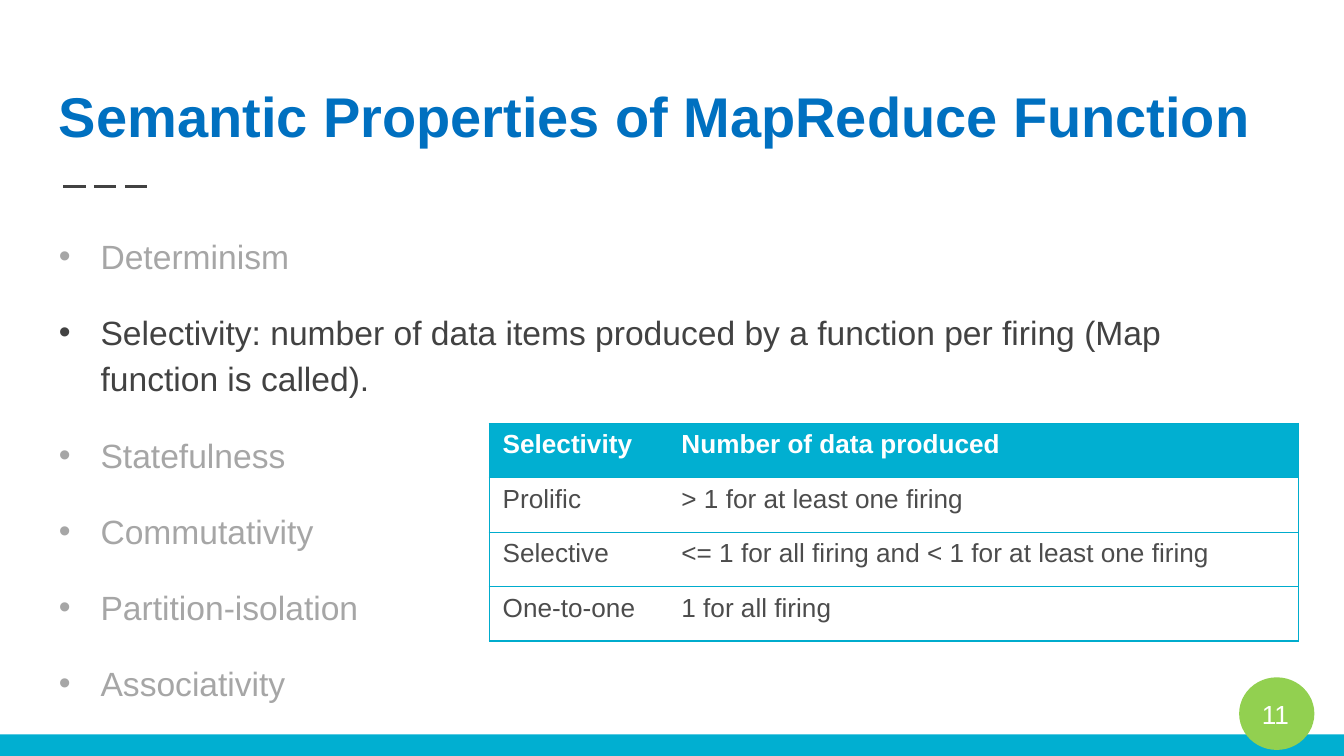
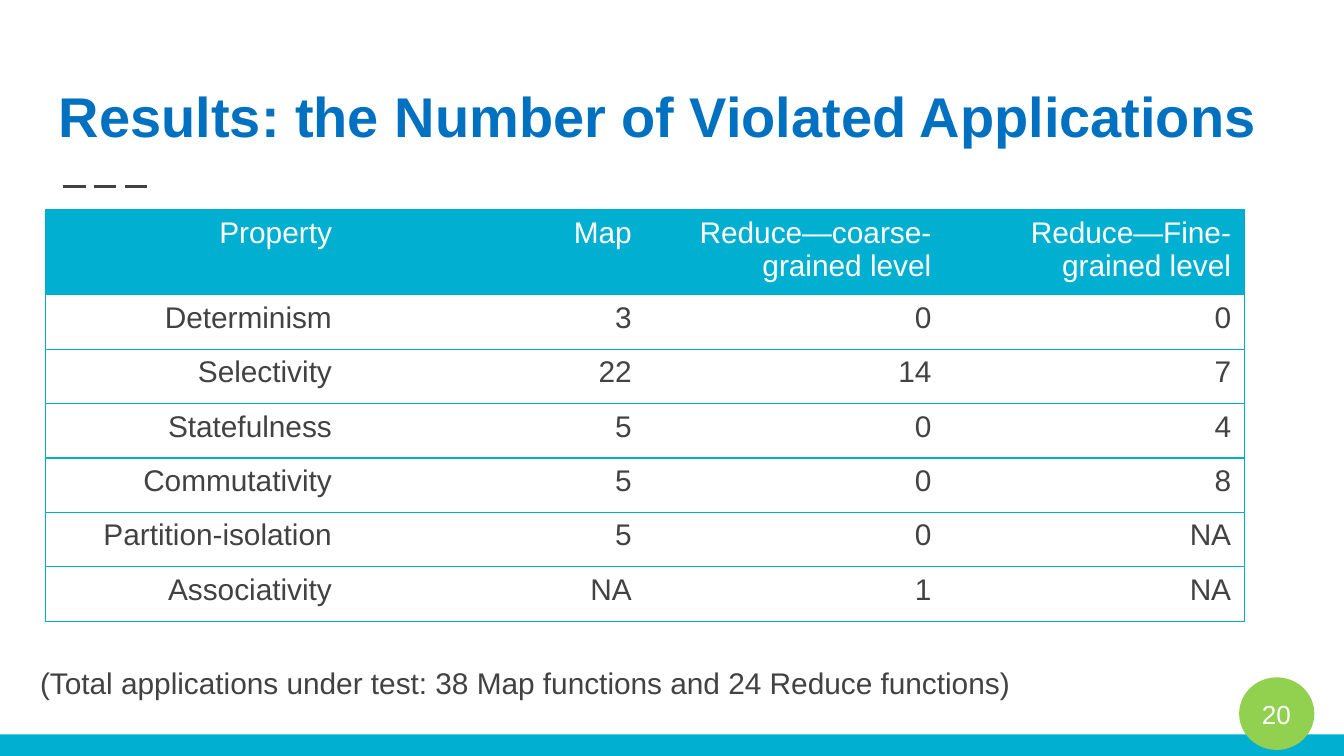
from dataclasses import dataclass

from lxml.etree import SubElement
from pptx import Presentation
from pptx.dml.color import RGBColor
from pptx.enum.dml import MSO_LINE
from pptx.enum.shapes import MSO_CONNECTOR, MSO_SHAPE
from pptx.enum.text import MSO_ANCHOR, PP_ALIGN
from pptx.oxml.ns import qn
from pptx.util import Inches, Pt

FONT = "Arial"
WHITE = RGBColor(0xFF, 0xFF, 0xFF)
TITLE_BLUE = RGBColor(0x00, 0x70, 0xC0)
BAND_BLUE = RGBColor(0x01, 0xAF, 0xD1)
BORDER_BLUE = RGBColor(0x00, 0xAC, 0xCD)
BADGE_GREEN = RGBColor(0x92, 0xD0, 0x50)
DARK = RGBColor(0x42, 0x42, 0x42)
CELL_GRAY = RGBColor(0x4C, 0x4C, 0x4C)
FADED = RGBColor(0xA6, 0xA6, 0xA6)

SLIDE_WIDTH = 10
SLIDE_HEIGHT = SLIDE_WIDTH * 9 / 16
BAND_HEIGHT = 0.16
ROW_HEIGHT = 1.62 / 4


@dataclass(frozen=True)
class Box:
    """A rectangle on the slide, in inches."""

    left: float
    top: float
    width: float
    height: float

    def lengths(self) -> tuple:
        """Return the four lengths in slide units."""
        return tuple(Inches(value) for value in (self.left, self.top, self.width, self.height))


@dataclass(frozen=True)
class TextStyle:
    """Size, colour and weight of a run of text."""

    size: float
    color: RGBColor
    bold: bool = False


@dataclass(frozen=True)
class TableDesign:
    """Place, column widths and text styles of a table."""

    left: float
    top: float
    columns: tuple
    header: TextStyle
    body: TextStyle
    alignment: PP_ALIGN


TITLE_STYLE = TextStyle(30, TITLE_BLUE, True)
NUMBER_STYLE = TextStyle(14, WHITE)
NOTE_STYLE = TextStyle(16, DARK)

SELECTIVITY_DESIGN = TableDesign(
    3.64, 3.15, (1.33, 4.69),
    TextStyle(14, WHITE, True), TextStyle(14, CELL_GRAY), PP_ALIGN.LEFT,
)
SELECTIVITY_ROWS = [
    ("Selectivity", "Number of data produced"),
    ("Prolific", "> 1 for at least one firing"),
    ("Selective", "<= 1 for all firing and < 1 for at least one firing"),
    ("One-to-one", "1 for all firing"),
]

RESULTS_DESIGN = TableDesign(
    0.34, 1.56, (2.23,) * 4,
    TextStyle(16, WHITE), TextStyle(16, DARK), PP_ALIGN.RIGHT,
)
RESULTS_ROWS = [
    ("Property", "Map", "Reduce—coarse-grained level", "Reduce—Fine-grained level"),
    ("Determinism", "3", "0", "0"),
    ("Selectivity", "22", "14", "7"),
    ("Statefulness", "5", "0", "4"),
    ("Commutativity", "5", "0", "8"),
    ("Partition-isolation", "5", "0", "NA"),
    ("Associativity", "NA", "1", "NA"),
]

PROPERTIES = [
    ("Determinism", FADED),
    ("Selectivity: number of data items produced by a function per firing "
     "(Map function is called). ", DARK),
    ("Statefulness", FADED),
    ("Commutativity", FADED),
    ("Partition-isolation", FADED),
    ("Associativity", FADED),
]


def style_paragraph(paragraph, style: TextStyle) -> None:
    """Format every run of a paragraph."""
    for run in paragraph.runs:
        run.font.name = FONT
        run.font.size = Pt(style.size)
        run.font.bold = style.bold
        run.font.color.rgb = style.color


def add_text(slide, box: Box, lines: list, styles: list,
             anchor=MSO_ANCHOR.TOP, inset: float = 0.1, wrap: bool = True):
    """Add a text box with one styled paragraph per line."""
    shape = slide.shapes.add_textbox(*box.lengths())
    text_frame = shape.text_frame
    text_frame.word_wrap = wrap
    text_frame.vertical_anchor = anchor
    text_frame.margin_left = text_frame.margin_right = Inches(0.1)
    text_frame.margin_top = text_frame.margin_bottom = Inches(inset)
    text_frame.text = "\n".join(lines)
    for paragraph, style in zip(text_frame.paragraphs, styles):
        style_paragraph(paragraph, style)
    return shape


def add_filled_shape(slide, preset: MSO_SHAPE, box: Box, color: RGBColor) -> None:
    """Add a flat shape without outline."""
    shape = slide.shapes.add_shape(preset, *box.lengths())
    shape.shadow.inherit = False
    shape.fill.solid()
    shape.fill.fore_color.rgb = color
    shape.line.fill.background()


def add_dashes(slide) -> None:
    """Add the dashed rule under the title."""
    connector = slide.shapes.add_connector(
        MSO_CONNECTOR.STRAIGHT, Inches(0.47), Inches(1.39), Inches(1.14), Inches(1.39))
    connector.line.color.rgb = DARK
    connector.line.width = Pt(1.5)
    connector.line.dash_style = MSO_LINE.LONG_DASH
    SubElement(connector.element.spPr, qn("a:effectLst"))


def add_page(presentation, title: str, number: int):
    """Add a slide with the shared title, rule, band and page badge."""
    slide = presentation.slides.add_slide(presentation.slide_layouts[6])
    slide.background.fill.solid()
    slide.background.fill.fore_color.rgb = WHITE
    add_dashes(slide)
    band = Box(0, SLIDE_HEIGHT - BAND_HEIGHT, SLIDE_WIDTH, BAND_HEIGHT)
    add_filled_shape(slide, MSO_SHAPE.RECTANGLE, band, BAND_BLUE)
    add_filled_shape(slide, MSO_SHAPE.OVAL, Box(9.22, 5.04, 0.56, 0.54), BADGE_GREEN)
    add_text(slide, Box(0.34, 0.41, 9.32, 0.8), [title], [TITLE_STYLE], MSO_ANCHOR.BOTTOM)
    add_text(slide, Box(9.29, 5.1, 0.6, 0.43), [str(number)], [NUMBER_STYLE], MSO_ANCHOR.MIDDLE)
    return slide


def add_bullets(slide, box: Box, items: list) -> None:
    """Add a bulleted list whose bullets take the colour of their text."""
    styles = [TextStyle(18, color) for _, color in items]
    shape = add_text(slide, box, [text for text, _ in items], styles)
    for paragraph, style in zip(shape.text_frame.paragraphs, styles):
        paragraph.line_spacing = 1.15
        paragraph.space_after = Pt(16)
        properties = paragraph._p.get_or_add_pPr()
        properties.set("marL", str(Inches(0.31)))
        properties.set("indent", str(Inches(-0.31)))
        bullet_color = SubElement(properties, qn("a:buClr"))
        SubElement(bullet_color, qn("a:srgbClr"), val=str(style.color))
        SubElement(properties, qn("a:buFont"), typeface=FONT)
        SubElement(properties, qn("a:buChar"), char="•")


def set_borders(cell, sides: dict) -> None:
    """Draw the chosen sides of a cell and hide the others."""
    properties = cell._tc.get_or_add_tcPr()
    for index, (side, visible) in enumerate(sides.items()):
        line = SubElement(properties, qn(f"a:ln{side}"), w=str(Pt(0.75)))
        if visible:
            fill = SubElement(line, qn("a:solidFill"))
            SubElement(fill, qn("a:srgbClr"), val=str(BORDER_BLUE))
        else:
            SubElement(line, qn("a:noFill"))
        properties.insert(index, line)


def add_grid(slide, design: TableDesign, rows: list) -> None:
    """Add a table with a coloured header and ruled rows."""
    box = Box(design.left, design.top, sum(design.columns), ROW_HEIGHT * len(rows))
    table = slide.shapes.add_table(len(rows), len(design.columns), *box.lengths()).table
    table.horz_banding = False
    for column, width in zip(table.columns, design.columns):
        column.width = Inches(width)
    for row_index, texts in enumerate(rows):
        is_header = row_index == 0
        for column_index, text in enumerate(texts):
            cell = table.cell(row_index, column_index)
            cell.fill.solid()
            cell.fill.fore_color.rgb = BAND_BLUE if is_header else WHITE
            cell.text_frame.text = text
            paragraph = cell.text_frame.paragraphs[0]
            paragraph.alignment = design.alignment
            style_paragraph(paragraph, design.header if is_header else design.body)
            set_borders(cell, {
                "L": column_index == 0,
                "R": column_index == len(texts) - 1,
                "T": True,
                "B": True,
            })


def build() -> None:
    """Build and save the presentation."""
    presentation = Presentation()
    presentation.slide_width = Inches(SLIDE_WIDTH)
    presentation.slide_height = Inches(SLIDE_HEIGHT)

    slide = add_page(presentation, "Semantic Properties of MapReduce Function", 11)
    add_bullets(slide, Box(0.34, 1.61, 9.32, 3.39), PROPERTIES)
    add_grid(slide, SELECTIVITY_DESIGN, SELECTIVITY_ROWS)

    slide = add_page(presentation, "Results: the Number of Violated Applications", 20)
    add_grid(slide, RESULTS_DESIGN, RESULTS_ROWS)
    note = "(Total applications under test: 38 Map functions and 24 Reduce functions)"
    add_text(slide, Box(0.2, 4.9, 7.54, 0.37), [note], [NOTE_STYLE], inset=0.05, wrap=False)

    presentation.save("out.pptx")


build()
